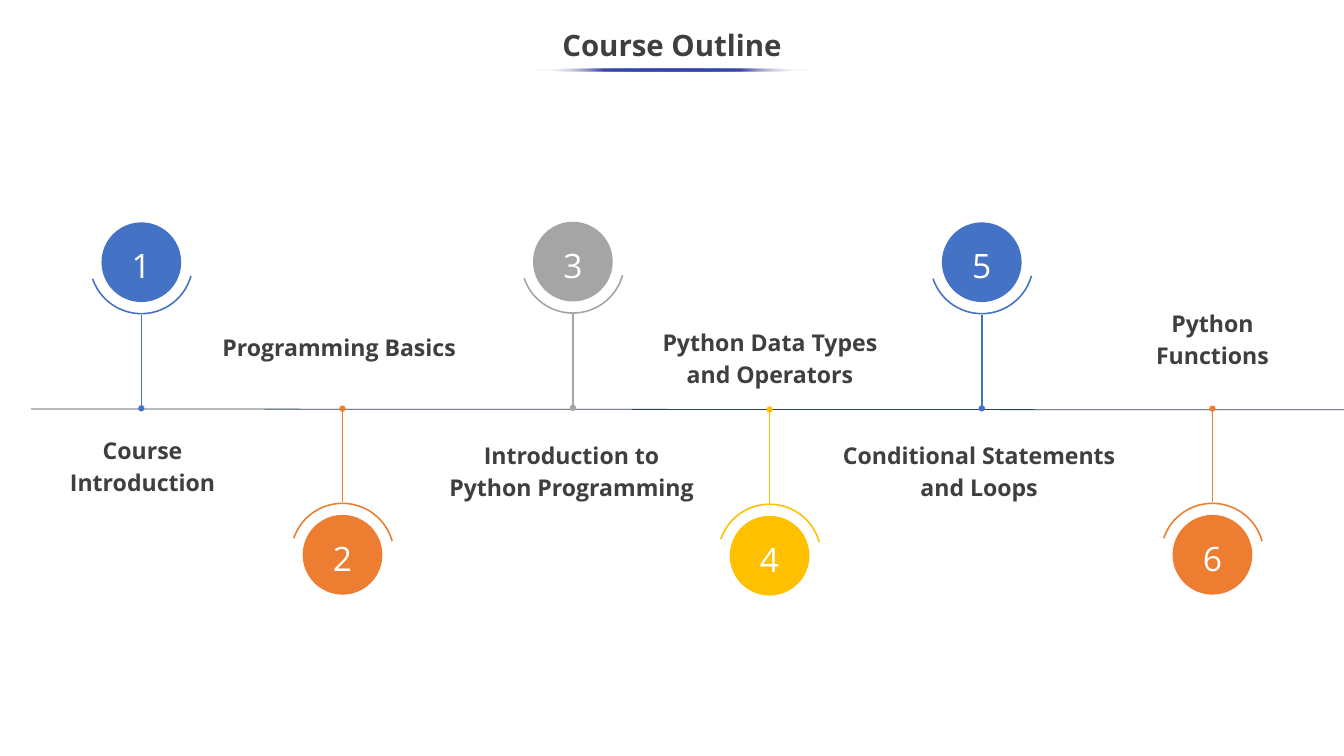
"""Build the course outline timeline slide."""
import pptx
import pptx.dml.color
import pptx.enum.shapes
import pptx.enum.text
import pptx.oxml
import pptx.oxml.ns
import pptx.util

Cm = pptx.util.Cm
SHAPES = pptx.enum.shapes.MSO_SHAPE
ANCHORS = pptx.enum.text.MSO_ANCHOR
COLORS = {
    "ink": "3F3F3F", "white": "FFFFFF", "axis": "323F4F", "accent": "3645A9",
    "blue": "4472C4", "orange": "ED7D31", "gray": "A5A5A5", "gold": "FFC000",
}
RING_RADIUS, DISC_RADIUS = 1.73, 1.34
STEM_START, STEM_END = 1.76, 4.91


def rgb(name):
    return pptx.dml.color.RGBColor.from_string(COLORS[name])


def write(shape, text, size=22, color="ink", bold=False, spacing=1.15, anchor=ANCHORS.TOP):
    frame = shape.text_frame
    frame.word_wrap = True
    frame.vertical_anchor = anchor
    paragraph = frame.paragraphs[0]
    paragraph.alignment = pptx.enum.text.PP_ALIGN.CENTER
    paragraph.line_spacing = spacing
    run = paragraph.add_run()
    run.text = text
    run.font.name = "Open Sans"
    run.font.size = pptx.util.Pt(size)
    run.font.bold = bold
    run.font.color.rgb = rgb(color)


class Timeline:
    def __init__(self, slide):
        self.slide = slide

    def text(self, box, text, **style):
        label = self.slide.shapes.add_textbox(*map(Cm, box))
        write(label, text, bold=True, **style)

    def line(self, start, end, color, width, dot=False):
        line = self.slide.shapes.add_connector(
            pptx.enum.shapes.MSO_CONNECTOR.STRAIGHT, *map(Cm, start + end))
        line.line.color.rgb = rgb(color)
        line.line.width = pptx.util.Pt(width)
        properties = line._element.spPr
        if dot:
            tail = pptx.oxml.parse_xml(
                f'<a:tailEnd {pptx.oxml.ns.nsdecls("a")} type="oval"/>')
            properties.find(pptx.oxml.ns.qn("a:ln")).append(tail)
        properties.append(pptx.oxml.parse_xml(
            f'<a:effectLst {pptx.oxml.ns.nsdecls("a")}/>'))

    def shape(self, kind, x, y, width, height):
        shape = self.slide.shapes.add_shape(kind, Cm(x), Cm(y), Cm(width), Cm(height))
        shape.shadow.inherit = False
        shape.line.fill.background()
        return shape

    def centered(self, kind, x, y, radius):
        return self.shape(kind, x - radius, y - radius, 2 * radius, 2 * radius)

    def ring(self, x, y, color, above):
        ring = self.centered(SHAPES.ARC, x, y, RING_RADIUS)
        ring.adjustments[0], ring.adjustments[1] = 9.186, 96.726
        ring.fill.background()
        ring.line.color.rgb = rgb(color)
        ring.line.width = pptx.util.Pt(1.5)
        if not above:
            ring.rotation = 180
            ring._element.spPr.xfrm.set("flipH", "1")

    def disc(self, x, y, color, number):
        disc = self.centered(SHAPES.OVAL, x, y, DISC_RADIUS)
        disc.fill.solid()
        disc.fill.fore_color.rgb = rgb(color)
        write(disc, str(number), size=32, color="white", anchor=ANCHORS.MIDDLE)

    def step(self, number, x, y, color, above):
        side = 1 if above else -1
        self.line((x, y + side * STEM_START), (x, y + side * STEM_END), color, 1.5, dot=True)
        self.ring(x, y, color, above)
        self.disc(x, y, color, number)

    def underline(self, x, y, width, height):
        underline = self.shape(SHAPES.OVAL, x, y, width, height)
        underline.fill.gradient()
        underline.fill.gradient_angle = 180
        stops = underline._element.spPr.find(".//" + pptx.oxml.ns.qn("a:gsLst"))
        stops.clear()
        for position, color, alpha in (
                (0, "white", 0), (25, "accent", 100), (50, "accent", 100),
                (75, "accent", 100), (100, "white", 0)):
            stops.append(pptx.oxml.parse_xml(
                f'<a:gs {pptx.oxml.ns.nsdecls("a")} pos="{position * 1000}">'
                f'<a:srgbClr val="{COLORS[color]}"><a:alpha val="{alpha * 1000}"/>'
                '</a:srgbClr></a:gs>'))


def main():
    deck = pptx.Presentation()
    deck.slide_width, deck.slide_height = Cm(45.16), Cm(25.4)
    timeline = Timeline(deck.slides.add_slide(deck.slide_layouts[6]))

    timeline.line((1.04, 13.74), (45.16, 13.77), "axis", 0.75)
    steps = [
        (4.75, 8.81, "blue", "Course Introduction", (1.45, 14.4, 6.68, 2.29)),
        (11.51, 18.64, "orange", "Programming Basics", (6.76, 10.95, 9.27, 2.31)),
        (19.25, 8.79, "gray", "Introduction to Python Programming",
         (14.76, 14.58, 8.89, 2.49)),
        (25.86, 18.67, "gold", "Python Data Types and Operators",
         (21.54, 10.77, 8.66, 2.26)),
        (32.99, 8.81, "blue", "Conditional Statements and Loops",
         (27.53, 14.58, 10.74, 2.84)),
        (40.74, 18.64, "orange", "Python Functions", (37.26, 10.13, 6.96, 2.79)),
    ]
    for number, (x, y, color, topic, box) in enumerate(steps, start=1):
        timeline.step(number, x, y, color, above=number % 2 == 1)
        timeline.text(box, topic)

    timeline.underline(17.98, 2.29, 9.19, 0.1)
    timeline.text((-0.03, 0.64, 45.21, 1.9), "Course Outline",
                  size=28, spacing=0.9, anchor=ANCHORS.MIDDLE)
    deck.save("out.pptx")


if __name__ == "__main__":
    main()
